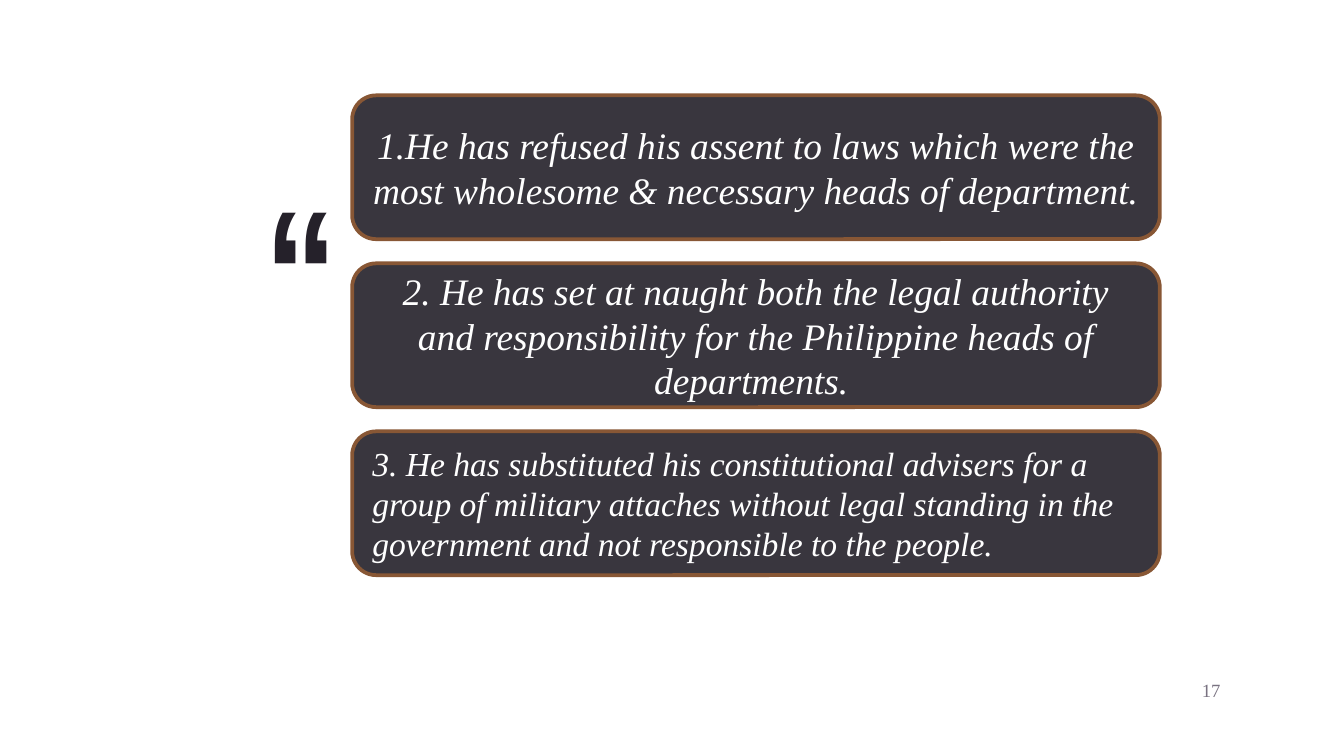
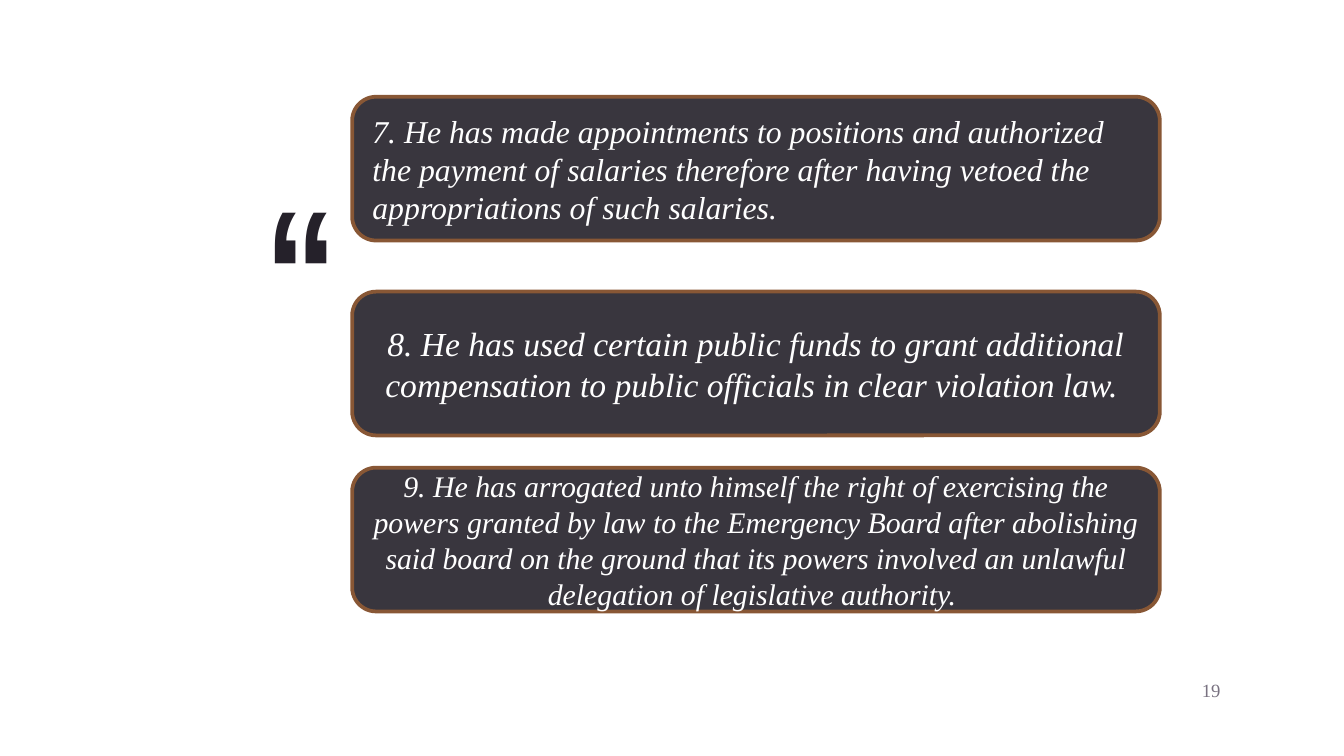
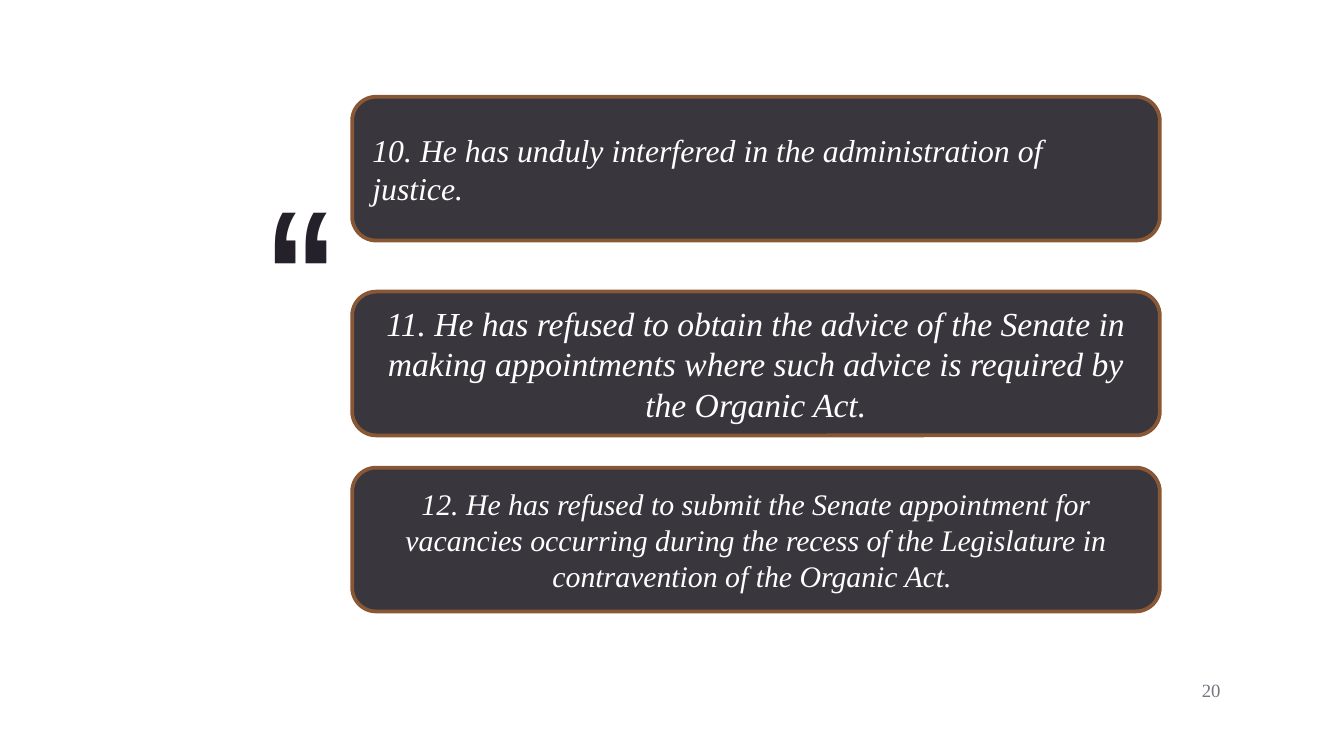
import pptx
import pptx.dml.color
import pptx.enum.shapes
import pptx.enum.text
import pptx.util
from pptx.util import Inches

LEFT = pptx.enum.text.PP_ALIGN.LEFT
CENTER = pptx.enum.text.PP_ALIGN.CENTER
RIGHT = pptx.enum.text.PP_ALIGN.RIGHT

# Each slide: page number, card tops in inches, cards (text, size, alignment)
SLIDES = [
    (17, (0.71, 1.96, 3.21), [
        ("1.He has refused his assent to laws which were the most wholesome & "
         "necessary heads of department. ", 20, CENTER),
        ("2. He has set at naught both the legal authority and responsibility for "
         "the Philippine heads of departments. ", 20, CENTER),
        ("3. He has substituted his constitutional advisers for a group of military "
         "attaches without legal standing in the government and not responsible "
         "to the people.", 18, LEFT),
    ]),
    (19, (0.72, 2.17, 3.48), [
        ("7. He has made appointments to positions and authorized the payment of "
         "salaries therefore after having vetoed the appropriations of such "
         "salaries.", 17, LEFT),
        ("8. He has used certain public funds to grant additional compensation to "
         "public officials in clear violation law. ", 18, CENTER),
        ("9. He has arrogated unto himself the right of exercising the powers "
         "granted by law to the Emergency Board after abolishing said board on the "
         "ground that its powers involved an unlawful delegation of legislative "
         "authority. ", 16, CENTER),
    ]),
    (20, (0.72, 2.17, 3.48), [
        ("10. He has unduly interfered in the administration of justice.", 17, LEFT),
        ("11. He has refused to obtain the advice of the Senate in making "
         "appointments where such advice is required by the Organic Act.", 18, CENTER),
        ("12. He has refused to submit the Senate appointment for vacancies "
         "occurring during the recess of the Legislature in contravention of the "
         "Organic Act. ", 16, CENTER),
    ]),
]

CARD_FILL, CARD_LINE, CARD_TEXT = "39363E", "885735", "FFFFFF"
QUOTE_COLOR, NUMBER_COLOR = "25212A", "797281"
BODY_FONT, QUOTE_FONT = "Times New Roman", "Arial Narrow"
CARD_LEFT, CARD_WIDTH, CARD_HEIGHT = 2.62, 6.01, 1.07


def color(value):
    return pptx.dml.color.RGBColor.from_string(value)


def write(shape, text, size, font, hex_color, align, bold=False, italic=False):
    frame = shape.text_frame
    frame.word_wrap = True
    frame.text = text
    para = frame.paragraphs[0]
    para.alignment = align
    span = para.runs[0].font
    span.name, span.size = font, pptx.util.Pt(size)
    span.bold, span.italic = bold, italic
    span.color.rgb = color(hex_color)


def add_label(page, place, text, *style, anchor, bold=False):
    box = page.shapes.add_textbox(*map(Inches, place))
    write(box, text, *style, bold=bold)
    frame = box.text_frame
    frame.vertical_anchor = anchor
    frame.margin_left = frame.margin_right = Inches(0.1)
    frame.margin_top = frame.margin_bottom = Inches(0.1)
    return box


def add_card(page, top, text, size, align):
    card = page.shapes.add_shape(
        pptx.enum.shapes.MSO_SHAPE.ROUNDED_RECTANGLE,
        *map(Inches, (CARD_LEFT, top, CARD_WIDTH, CARD_HEIGHT)))
    card.shadow.inherit = False
    card.fill.solid()
    card.fill.fore_color.rgb = color(CARD_FILL)
    card.line.color.rgb = color(CARD_LINE)
    card.line.width = pptx.util.Pt(2)
    card.text_frame.vertical_anchor = pptx.enum.text.MSO_ANCHOR.MIDDLE
    write(card, text, size, BODY_FONT, CARD_TEXT, align, italic=True)


def add_quote_mark(page):
    """Place the quote mark on the page's layout, so that every slide shows it."""
    mark = add_label(page, (1.87, 1.07, 2.14, 0.71), "“", 96, QUOTE_FONT, QUOTE_COLOR,
                     LEFT, anchor=pptx.enum.text.MSO_ANCHOR.TOP, bold=True)
    page.slide_layout.shapes.element.append(mark.element)


def main():
    deck = pptx.Presentation()
    deck.slide_width = Inches(10)
    deck.slide_height = deck.slide_width * 9 // 16
    blank = deck.slide_layouts[6]
    for index, (number, tops, cards) in enumerate(SLIDES):
        page = deck.slides.add_slide(blank)
        if index == 0:
            add_quote_mark(page)
        for top, card in zip(tops, cards):
            add_card(page, top, *card)
        add_label(page, (8.62, 4.8, 0.56, 0.67), str(number), 10, BODY_FONT,
                  NUMBER_COLOR, RIGHT, anchor=pptx.enum.text.MSO_ANCHOR.MIDDLE)
    deck.save("out.pptx")


if __name__ == "__main__":
    main()
